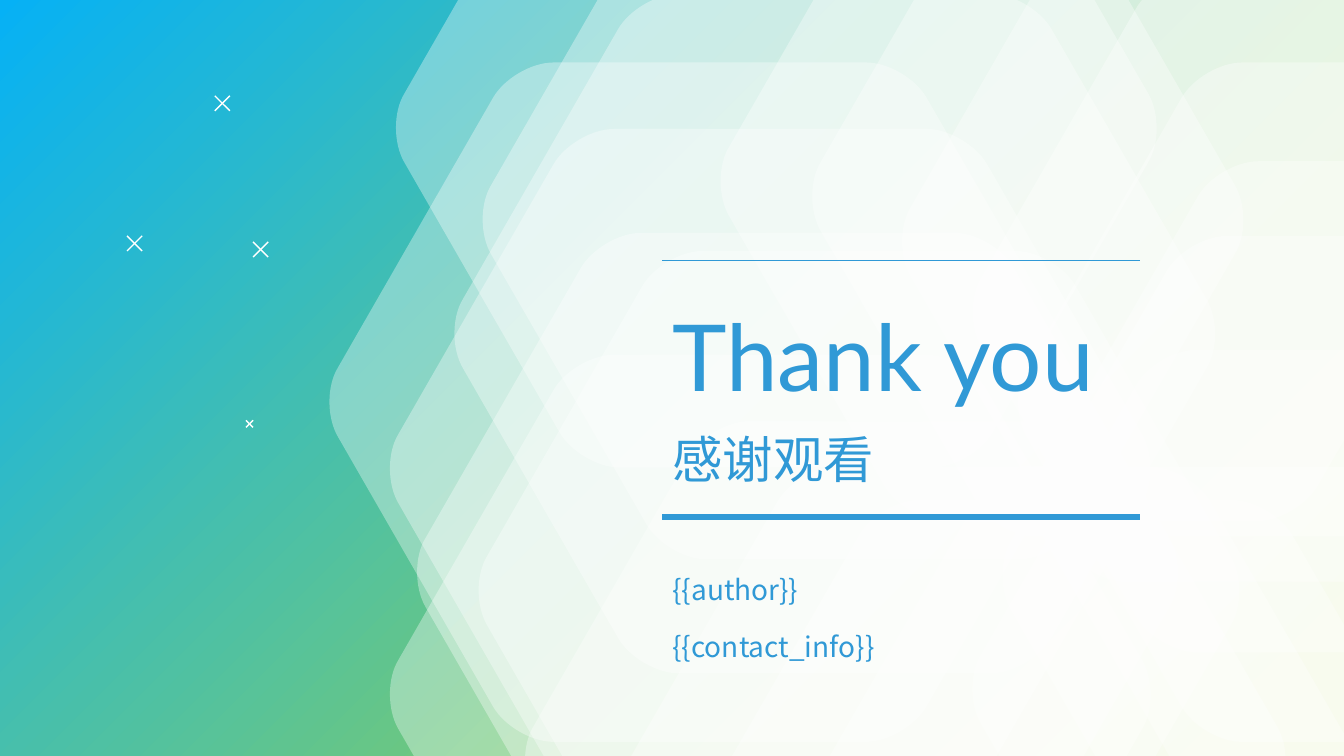
from lxml.etree import Element, SubElement
from pptx import Presentation
from pptx.dml.color import RGBColor
from pptx.enum.shapes import MSO_CONNECTOR
from pptx.enum.text import MSO_AUTO_SIZE
from pptx.oxml.ns import qn
from pptx.util import Inches, Pt

BLUE = "3099D6"
WHITE = "FFFFFF"


def color(hex_value):
    return RGBColor.from_string(hex_value)


def add_line(shapes, start, end, hex_value, width):
    connector = shapes.add_connector(
        MSO_CONNECTOR.STRAIGHT, *[Inches(value) for value in (*start, *end)])
    connector.line.color.rgb = color(hex_value)
    connector.line.width = Pt(width)
    SubElement(connector.element.spPr, qn("a:effectLst"))


presentation = Presentation()
presentation.slide_width = Inches(13.33)
presentation.slide_height = Inches(7.5)
slide = presentation.slides.add_slide(presentation.slide_layouts[6])

background = slide.background.fill
background.gradient()
background.gradient_angle = 315
for stop, (position, hex_value) in zip(
        background.gradient_stops, [(0, "06B1F5"), (0.95, "B2D632")]):
    stop.position = position
    stop.color.rgb = color(hex_value)

for left, top, size in [(2.13, 0.95, 0.15), (2.51, 2.4, 0.15),
                        (1.26, 2.34, 0.15), (2.44, 4.17, 0.07)]:
    cross = slide.shapes.add_group_shape()
    right, bottom = left + size, top + size
    add_line(cross.shapes, (right, top), (left, bottom), WHITE, 1)
    add_line(cross.shapes, (left, top), (right, bottom), WHITE, 1)

hexagon_width, hexagon_height = 7.6, 6.74
left_corners = [
    (2.25, 6.74), (2.03, 6.74), (1.76, 6.58), (1.65, 6.39),
    (0.11, 3.71), (0, 3.52), (0, 3.21), (0.11, 3.03),
    (1.65, 0.35), (1.76, 0.16), (2.03, 0), (2.25, 0),
]
right_corners = [(hexagon_width - x, hexagon_height - y) for x, y in left_corners]
outline = left_corners + right_corners

hexagon_positions = [
    (7.12, -1.57), (8.03, -1.42), (8.92, -0.97), (9.62, -0.27), (10.07, 0.62),
    (10.23, 1.6), (9.92, 2.34), (9.62, 3.47), (4.11, 2.31), (8.03, 4.63),
    (6.87, 4.96), (6.06, 4.63), (5.18, 4.18), (3.84, 3.52), (4.72, 2.49),
    (3.84, 1.28), (3.24, 0.62), (4.48, -0.06), (4.76, -1.19), (3.9, -2.1),
]
for left, top in hexagon_positions:
    points = [(Inches(left + x), Inches(top + y)) for x, y in outline]
    builder = slide.shapes.build_freeform(*points[0])
    builder.add_line_segments(points[1:], close=True)
    hexagon = builder.convert_to_shape()
    hexagon.shadow.inherit = False
    hexagon.line.fill.background()
    hexagon.fill.solid()
    hexagon.fill.fore_color.rgb = color(WHITE)
    fill_color = hexagon.element.spPr.find(qn("a:solidFill")).find(qn("a:srgbClr"))
    SubElement(fill_color, qn("a:alpha"), val="35000")
    segments = list(hexagon.element.iter(qn("a:lnTo")))
    for first in range(0, len(segments), 4):
        corner = segments[first:first + 3]
        curve = Element(qn("a:cubicBezTo"))
        corner[0].addprevious(curve)
        for segment in corner:
            curve.append(segment[0])
            segment.getparent().remove(segment)

for y, width in [(2.58, 0.75), (5.13, 4)]:
    add_line(slide.shapes, (6.57, y), (11.31, y), BLUE, width)

texts = [
    ("Thank you", 2.92, 6.6, 1.21, {"name": "Lato", "size": Pt(66)}),
    ("感谢观看", 4.2, 3.9, 0.71, {"name": "Lato", "size": Pt(36)}),
    ("{{author}}", 5.63, 4.44, 0.44, {"name": "Noto Sans CJK SC", "size": Pt(20)}),
    ("{{contact_info}}", 6.2, 4.44, 0.44, {"name": "Noto Sans CJK SC", "size": Pt(20)}),
]
for text, top, width, height, font_format in texts:
    text_box = slide.shapes.add_textbox(
        Inches(6.57), Inches(top), Inches(width), Inches(height))
    text_frame = text_box.text_frame
    text_frame.word_wrap = True
    text_frame.auto_size = MSO_AUTO_SIZE.SHAPE_TO_FIT_TEXT
    run = text_frame.paragraphs[0].add_run()
    run.text = text
    run.font.color.rgb = color(BLUE)
    for attribute, value in font_format.items():
        setattr(run.font, attribute, value)

presentation.save("out.pptx")
